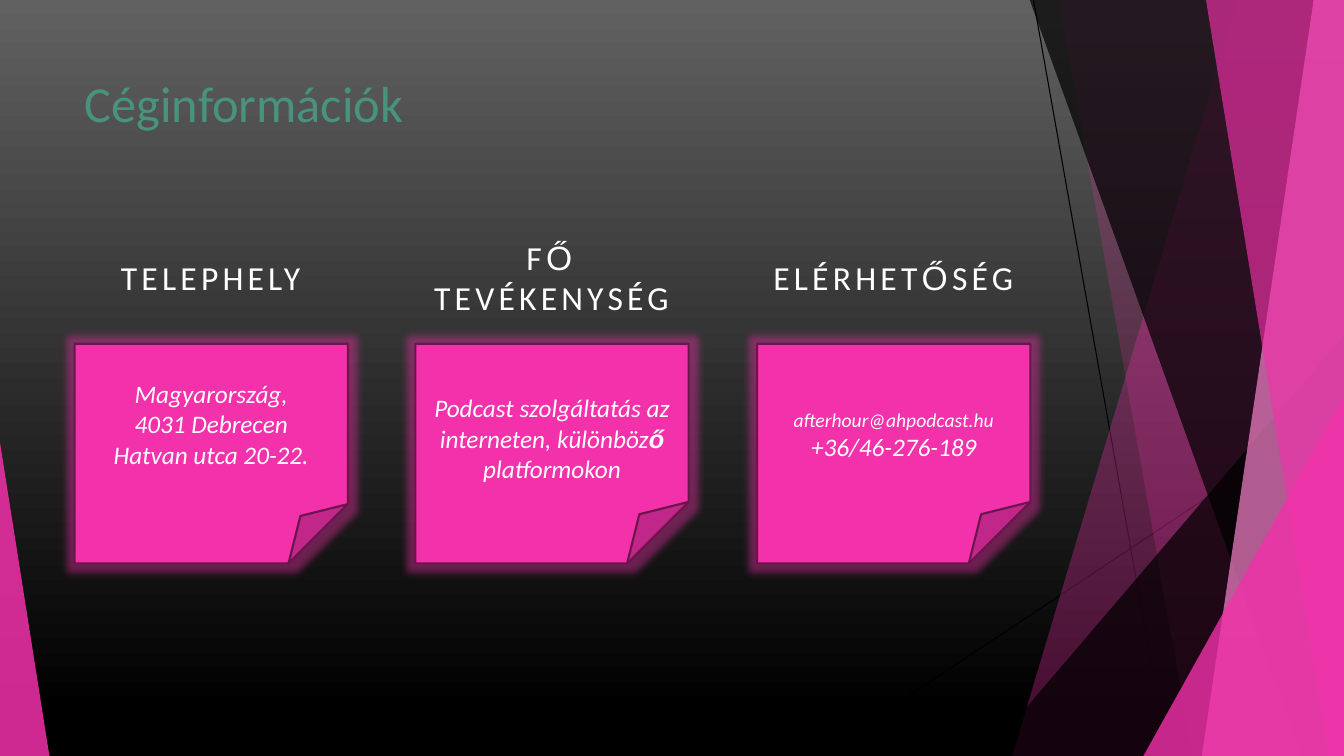
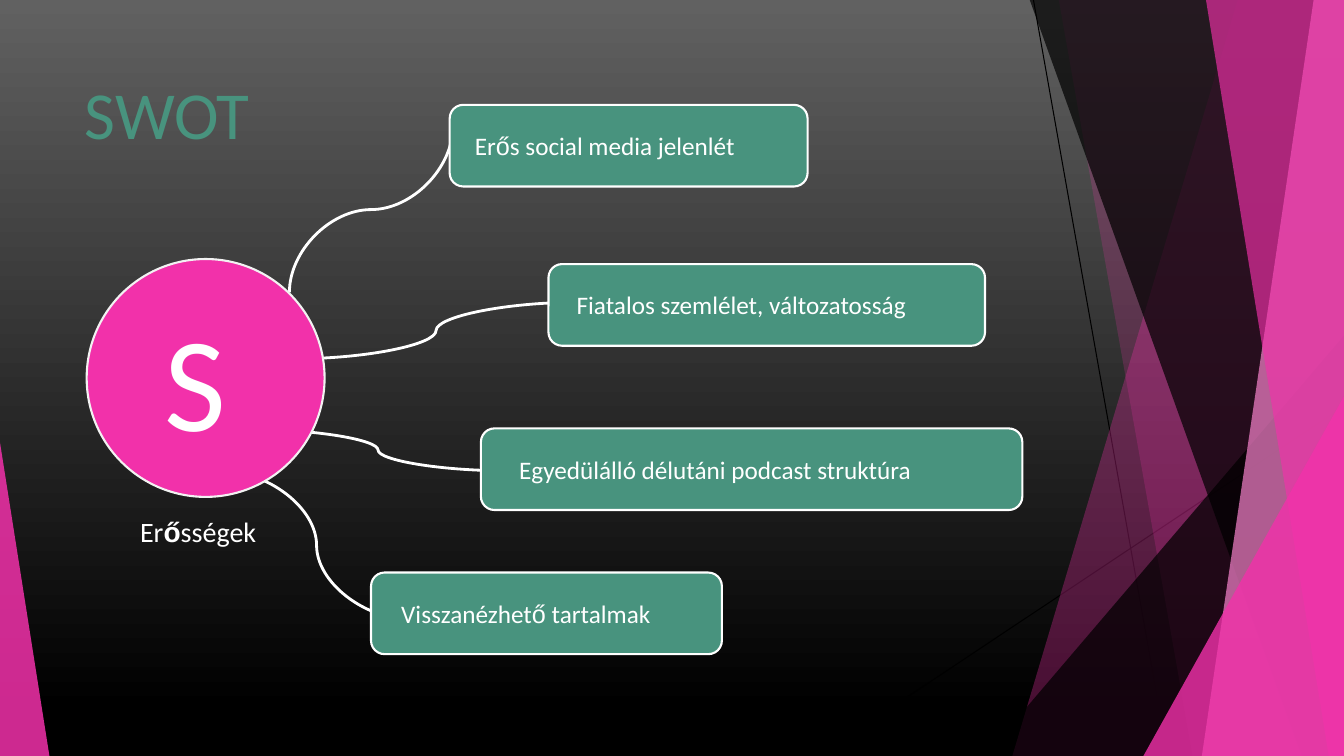
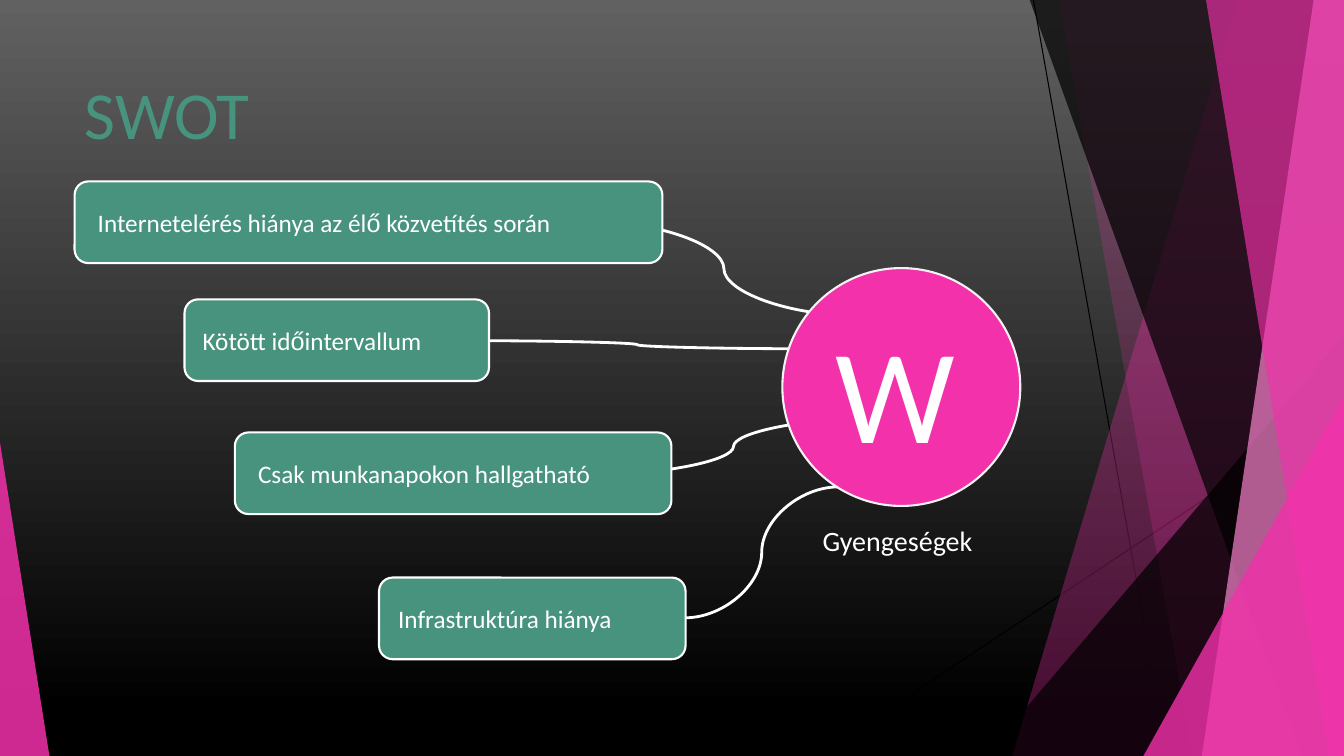
"""Build three podcast business plan slides: company facts, strengths and weaknesses."""

import dataclasses
import itertools
import typing

import lxml.etree
import pptx
import pptx.dml.color
import pptx.enum.shapes
import pptx.enum.text
import pptx.oxml.ns
import pptx.util

PX = 9144
SHAPE = pptx.enum.shapes.MSO_SHAPE
CONNECTOR = pptx.enum.shapes.MSO_CONNECTOR
ALIGN = pptx.enum.text.PP_ALIGN
ANCHOR = pptx.enum.text.MSO_ANCHOR


@dataclasses.dataclass(frozen=True)
class Theme:
    pink: str = "F231AA"
    light_pink: str = "F783CC"
    dark_pink: str = "6A154B"
    green: str = "48937E"
    white: str = "FFFFFF"
    off_white: str = "F2F2F2"
    black: str = "000000"
    grey: str = "616161"
    font: str = "Calibri"
    accent_font: str = "Arial"
    accented: str = "őŐ"
    title: int = 36
    big_title: int = 48
    letter: int = 96
    heading: int = 24
    label: int = 20
    body: int = 18
    small: int = 14


THEME = Theme()


class Pane(typing.NamedTuple):
    points: list[tuple[int, int]]
    color: str
    alpha: int


class Wedge(typing.NamedTuple):
    box: tuple[int, int, int, int]
    peak: int
    color: str
    alpha: int


class Style(typing.NamedTuple):
    size: int
    italic: bool = False
    bold_accent: bool = False
    spacing: int = 0


class Line(typing.NamedTuple):
    text: str
    style: Style


class Card(typing.NamedTuple):
    heading: str
    fold: float
    top_inset: int
    lines: list[Line]


class Curve(typing.NamedTuple):
    begin: tuple[int, int]
    end: tuple[int, int]
    turn: int = 0


class Point(typing.NamedTuple):
    left: int
    top: int
    width: int
    inset: int
    text: str


class Swot(typing.NamedTuple):
    letter: str
    letter_at: tuple[int, int]
    circle_at: tuple[int, int]
    label: Line
    label_at: tuple[int, int]
    curves: list[Curve]
    points: list[Point]


NOTE = Style(THEME.body, italic=True)
HEADING = Style(THEME.heading, spacing=300)

RULES = [((1025, 0), (1158, 750)), ((1333, 403), (812, 750))]
DECOR: list[Pane | Wedge] = [
    Pane([(1228, -1), (1333, -1), (1333, 750), (1004, 750)], THEME.pink, 30),
    Pane([(1050, -1), (1333, -1), (1333, 750), (1183, 750)], THEME.pink, 20),
    Wedge((977, 333, 356, 417), 1, THEME.black, 72),
    Pane([(1021, -1), (1333, -1), (1333, 750), (1291, 750)], THEME.black, 70),
    Pane([(1303, -1), (1333, -1), (1333, 750), (1192, 750)], THEME.light_pink, 70),
    Pane([(1196, -1), (1333, -1), (1333, 750), (1318, 750)], THEME.pink, 65),
    Wedge((1134, 393, 199, 357), 1, THEME.pink, 80),
    Wedge((0, 439, 49, 311), 0, THEME.pink, 85),
]

CARDS = [
    Card("TELEPHELY", 0.27, 5, [
        Line("Magyarország,", NOTE),
        Line("4031 Debrecen", NOTE),
        Line("Hatvan utca 20-22.", NOTE),
    ]),
    Card("FŐ TEVÉKENYSÉG", 0.28, 35, [
        Line("Podcast szolgáltatás az interneten, különböző platformokon",
             NOTE._replace(bold_accent=True)),
    ]),
    Card("ELÉRHETŐSÉG", 0.28, 29, [
        Line("afterhour@ahpodcast.hu", NOTE._replace(size=THEME.small)),
        Line("+36/46-276-189", NOTE),
    ]),
]

SWOTS = [
    Swot(
        "S", (153, 290), (86, 257),
        Line("Erősségek", Style(THEME.label, bold_accent=True)), (129, 506),
        [
            Curve((450, 289), (286, 127), 90),
            Curve((293, 356), (572, 300)),
            Curve((250, 426), (500, 467)),
            Curve((218, 467), (410, 615)),
        ],
        [
            Point(446, 104, 355, 25, "Erős social media jelenlét"),
            Point(544, 262, 433, 28, "Fiatalos szemlélet, változatosság"),
            Point(477, 425, 537, 38, "Egyedülálló délutáni podcast struktúra"),
            Point(368, 568, 348, 30, "Visszanézhető tartalmak"),
        ],
    ),
    Swot(
        "W", (819, 302), (776, 266),
        Line("Gyengeségek", Style(THEME.label)), (806, 514),
        [
            Curve((467, 338), (797, 346)),
            Curve((588, 471), (867, 415)),
            Curve((588, 220), (848, 313)),
            Curve((832, 483), (679, 613)),
        ],
        [
            Point(74, 180, 583, 23, "Internetelérés hiánya az élő közvetítés során"),
            Point(183, 297, 302, 18, "Kötött időintervallum"),
            Point(233, 429, 433, 23, "Csak munkanapokon hallgatható"),
            Point(376, 573, 304, 19, "Infrastruktúra hiánya"),
        ],
    ),
]


def px(*values: int) -> list[int]:
    return [value * PX for value in values]


def rgb(color: str) -> pptx.dml.color.RGBColor:
    return pptx.dml.color.RGBColor.from_string(color)


def child(parent: typing.Any, tag: str, **attrs: str) -> typing.Any:
    return lxml.etree.SubElement(parent, pptx.oxml.ns.qn(tag), attrs)


def paint(sp: typing.Any, fill: str, line: str | None = None, alpha: int = 100) -> None:
    sp.shadow.inherit = False
    sp.fill.solid()
    sp.fill.fore_color.rgb = rgb(fill)
    if alpha < 100:
        color = sp.element.xpath("./p:spPr/a:solidFill/a:srgbClr")[0]
        child(color, "a:alpha", val=str(alpha * 1000))
    if line is None:
        sp.line.fill.background()
    else:
        sp.line.color.rgb = rgb(line)
        sp.line.width = pptx.util.Pt(1.5)


def add_shape(s: typing.Any, kind: typing.Any, box: tuple[int, int, int, int],
              fill: str, line: str | None = None, alpha: int = 100) -> typing.Any:
    sp = s.shapes.add_shape(kind, *px(*box))
    paint(sp, fill, line, alpha)
    return sp


def add_line(s: typing.Any, kind: typing.Any, begin: tuple[int, int],
             end: tuple[int, int], color: str, width: float) -> typing.Any:
    cxn = s.shapes.add_connector(kind, *px(*begin, *end))
    cxn.line.color.rgb = rgb(color)
    cxn.line.width = pptx.util.Pt(width)
    child(cxn.element.spPr, "a:effectLst")
    return cxn


def write(tf: typing.Any, lines: list[Line], align: typing.Any = ALIGN.LEFT) -> None:
    tf.word_wrap = True
    for i, (text, style) in enumerate(lines):
        p = tf.add_paragraph() if i else tf.paragraphs[0]
        p.alignment = align
        for accent, letters in itertools.groupby(text, lambda c: c in THEME.accented):
            r = p.add_run()
            r.text = "".join(letters)
            r.font.name = THEME.accent_font if accent else THEME.font
            r.font.size = pptx.util.Pt(style.size)
            r.font.italic = style.italic
            r.font.bold = accent and style.bold_accent
            r.font.color.rgb = rgb(THEME.white)
            if style.spacing:
                r._r.get_or_add_rPr().set("spc", str(style.spacing))


def add_text(s: typing.Any, box: tuple[int, int, int, int], line: Line,
             align: typing.Any = ALIGN.LEFT, anchor: typing.Any = ANCHOR.TOP) -> None:
    tf = s.shapes.add_textbox(*px(*box)).text_frame
    tf.vertical_anchor = anchor
    write(tf, [line], align)


def add_slide(prs: typing.Any, title: str, size: int, height: int) -> typing.Any:
    s = prs.slides.add_slide(prs.slide_layouts[5])
    sp = s.shapes.title
    sp.left, sp.top, sp.width, sp.height = px(74, 67, 940, height)
    tf = sp.text_frame
    tf.text = title
    tf.vertical_anchor = ANCHOR.TOP
    tf.auto_size = pptx.enum.text.MSO_AUTO_SIZE.NONE
    p = tf.paragraphs[0]
    p.alignment = ALIGN.LEFT
    r = p.runs[0]
    r.font.name = THEME.font
    r.font.size = pptx.util.Pt(size)
    r.font.color.rgb = rgb(THEME.green)
    rpr = r._r.get_or_add_rPr()
    outline = child(rpr, "a:ln", w="9525")
    child(child(outline, "a:solidFill"), "a:srgbClr", val=THEME.white)
    rpr.insert(0, outline)
    return s


def add_decor(s: typing.Any, item: Pane | Wedge) -> typing.Any:
    if isinstance(item, Wedge):
        sp = add_shape(s, SHAPE.ISOSCELES_TRIANGLE, item.box, item.color, alpha=item.alpha)
        sp.adjustments[0] = item.peak
        return sp
    builder = s.shapes.build_freeform(*item.points[0], scale=PX)
    builder.add_line_segments(item.points[1:], close=True)
    sp = builder.convert_to_shape()
    paint(sp, item.color, alpha=item.alpha)
    return sp


def decorate_master(prs: typing.Any, s: typing.Any) -> None:
    fill = prs.slide_master.background.fill
    fill.gradient()
    fill.gradient_angle = 270
    for stop, color, position in zip(fill.gradient_stops, (THEME.grey, THEME.black), (0, 0.94)):
        stop.color.rgb = rgb(color)
        stop.position = position
    parts = [add_line(s, CONNECTOR.STRAIGHT, *rule, THEME.black, 0.75) for rule in RULES]
    parts += [add_decor(s, item) for item in DECOR]
    tree = prs.slide_master.element.cSld.spTree
    for i, part in enumerate(parts):
        part.element.xpath(".//p:cNvPr")[0].set("id", str(100 + i))
        tree.insert(2 + i, part.element)


def add_card(s: typing.Any, index: int, card: Card) -> None:
    left, width = 74 + 677 * index // 2, 271
    heading_width = 306
    heading_left = left + (width - heading_width) // 2
    add_text(s, (heading_left, 229, heading_width, 91), Line(card.heading, HEADING),
             ALIGN.CENTER, ANCHOR.MIDDLE)
    sp = add_shape(s, SHAPE.FOLDED_CORNER, (left, 341, width, 218), THEME.pink, THEME.dark_pink)
    guides = sp.element.spPr.find(".//" + pptx.oxml.ns.qn("a:avLst"))
    guides.clear()
    child(guides, "a:gd", name="adj", fmla=f"val {round(card.fold * 100000)}")
    effects = sp.element.spPr.find(pptx.oxml.ns.qn("a:effectLst"))
    glow = child(effects, "a:glow", rad="139700")
    child(child(glow, "a:srgbClr", val=THEME.pink), "a:alpha", val="40000")
    tf = sp.text_frame
    tf.vertical_anchor = ANCHOR.MIDDLE
    tf.margin_top = card.top_inset * PX
    write(tf, card.lines, ALIGN.CENTER)


def add_swot(s: typing.Any, swot: Swot) -> None:
    for curve in swot.curves:
        cxn = add_line(s, CONNECTOR.CURVE, curve.begin, curve.end, THEME.white, 2)
        if curve.turn:
            cxn.element.spPr.xfrm.set("rot", str(curve.turn * 60000))
    for point in swot.points:
        box = (point.left, point.top, point.width, 81)
        sp = add_shape(s, SHAPE.ROUNDED_RECTANGLE, box, THEME.green, THEME.white)
        tf = sp.text_frame
        tf.vertical_anchor = ANCHOR.MIDDLE
        tf.margin_left = (point.inset - 4) * PX
        tf.margin_right = 0
        write(tf, [Line(point.text, Style(THEME.body))])
    add_shape(s, SHAPE.OVAL, (*swot.circle_at, 236, 236), THEME.pink, THEME.off_white)
    add_text(s, (*swot.letter_at, 140, 167), Line(swot.letter, Style(THEME.letter)))
    add_text(s, (*swot.label_at, 199, 44), swot.label)


def main() -> None:
    prs = pptx.Presentation()
    prs.slide_width, prs.slide_height = px(1333, 750)
    s = add_slide(prs, "Céginformációk", THEME.title, 85)
    decorate_master(prs, s)
    for i, card in enumerate(CARDS):
        add_card(s, i, card)
    for swot in SWOTS:
        add_swot(add_slide(prs, "SWOT", THEME.big_title, 144), swot)
    prs.save("out.pptx")


if __name__ == "__main__":
    main()
